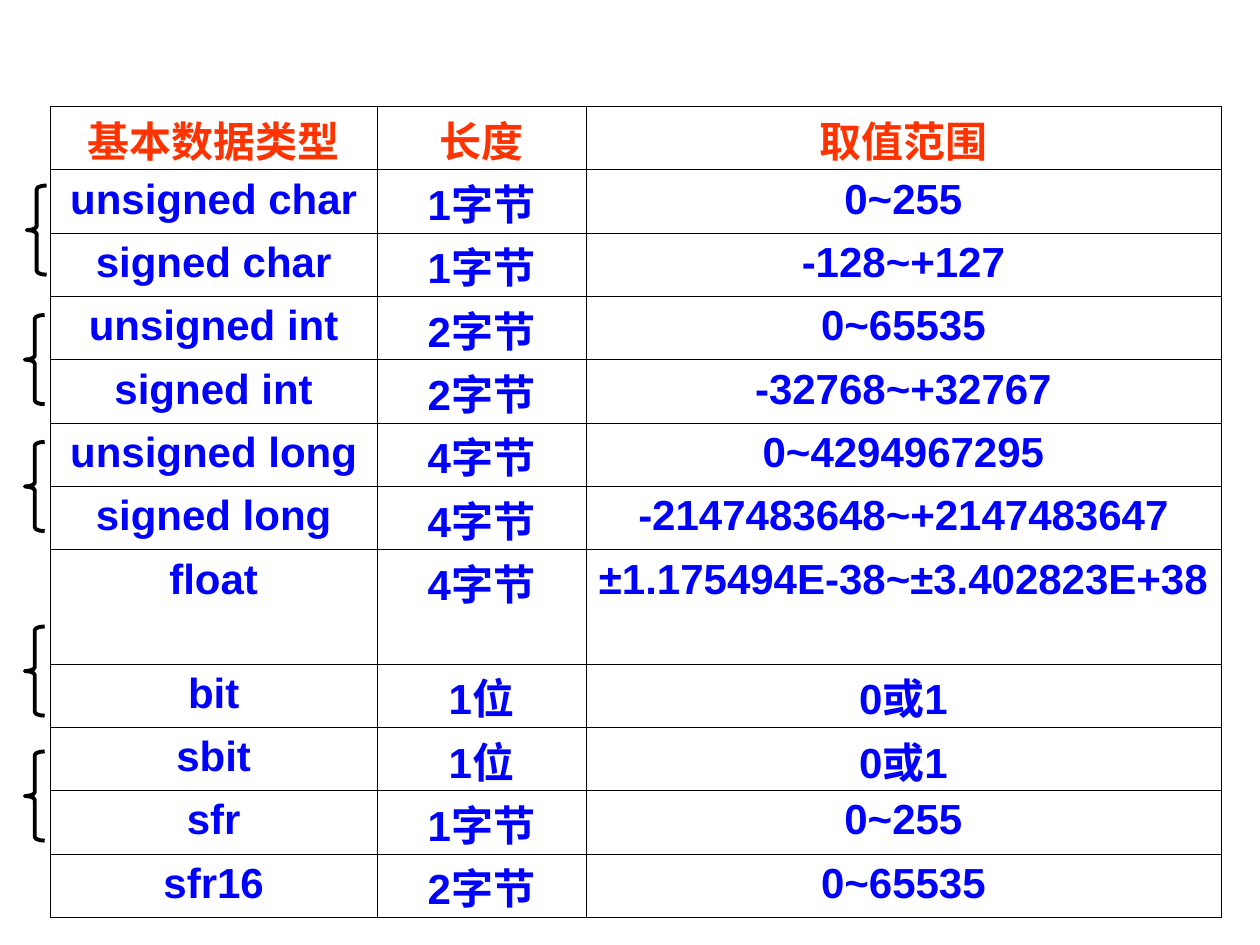
from lxml import etree
from pptx import Presentation
from pptx.dml.color import RGBColor
from pptx.enum import shapes, text
from pptx.oxml.ns import qn
from pptx.util import Pt

HEADER = ("基本数据类型", "长度", "取值范围")
TYPES = [
    ("unsigned char", "1字节", "0~255"),
    ("signed char", "1字节", "-128~+127"),
    ("unsigned int", "2字节", "0~65535"),
    ("signed int", "2字节", "-32768~+32767"),
    ("unsigned long", "4字节", "0~4294967295"),
    ("signed long", "4字节", "-2147483648~+2147483647"),
    ("float", "4字节", "±1.175494E-38~±3.402823E+38"),
    ("bit", "1位", "0或1"),
    ("sbit", "1位", "0或1"),
    ("sfr", "1字节", "0~255"),
    ("sfr16", "2字节", "0~65535"),
]
COL_WIDTHS = (186.6, 119.4, 362.9)
ROW_HEIGHT, FLOAT_HEIGHT = 36.2, 65.2


def rgb(value):
    return RGBColor.from_string(value)


def set_borders(cell, color, width):
    tc_pr = cell._tc.get_or_add_tcPr()
    for i, side in enumerate(("lnL", "lnR", "lnT", "lnB")):
        ln = etree.Element(qn("a:" + side), w=str(Pt(width)))
        fill = etree.SubElement(ln, qn("a:solidFill"))
        etree.SubElement(fill, qn("a:srgbClr"), val=color)
        tc_pr.insert(i, ln)


def fill_cell(cell, value, color):
    cell.fill.background()
    set_borders(cell, "000000", 0.45)
    cell.margin_left = cell.margin_right = Pt(5)
    cell.margin_top = cell.margin_bottom = Pt(3.6)
    p = cell.text_frame.paragraphs[0]
    p.text = value
    p.alignment = text.PP_ALIGN.CENTER
    # Fixed line height keeps tall Chinese glyphs from stretching the row
    if any(ord(ch) > 0x2E80 for ch in value):
        p.line_spacing = Pt(28.8)
        cell.margin_top, cell.margin_bottom = Pt(7.2), Pt(0)
    font = p.runs[0].font
    font.name, font.size, font.bold = "Arial", Pt(24), True
    font.color.rgb = rgb(color)


def add_type_table(slide, left, top):
    rows = [HEADER] + TYPES
    heights = [FLOAT_HEIGHT if row[0] == "float" else ROW_HEIGHT for row in rows]
    frame = slide.shapes.add_table(len(rows), len(HEADER), Pt(left), Pt(top),
                                   Pt(sum(COL_WIDTHS)), Pt(sum(heights)))
    table = frame.table
    table.first_row = table.horz_banding = False
    for column, width in zip(table.columns, COL_WIDTHS):
        column.width = Pt(width)
    for r, (row, height) in enumerate(zip(rows, heights)):
        table.rows[r].height = Pt(height)
        for c, value in enumerate(row):
            fill_cell(table.cell(r, c), value, "0000FF" if r else "FF3300")


def add_brace(slide, left, top, width, height):
    sp = slide.shapes.add_shape(shapes.MSO_SHAPE.LEFT_BRACE,
                                Pt(left), Pt(top), Pt(width), Pt(height))
    sp.adjustments[0] = 0.19
    sp.shadow.inherit = False
    sp.fill.background()
    sp.line.color.rgb = rgb("000000")
    sp.line.width = Pt(2.25)


def main():
    prs = Presentation()
    prs.slide_width, prs.slide_height = Pt(720), Pt(540)
    slide = prs.slides.add_slide(prs.slide_layouts[6])

    # Table of basic data types
    add_type_table(slide, 28.8, 60.8)

    # Braces pairing related types
    for left, top in ((15.3, 106), (14.2, 180), (14.2, 252.5), (14.2, 358), (14.2, 429.4)):
        add_brace(slide, left, top, 11.3, 51)

    prs.save("out.pptx")


if __name__ == "__main__":
    main()
